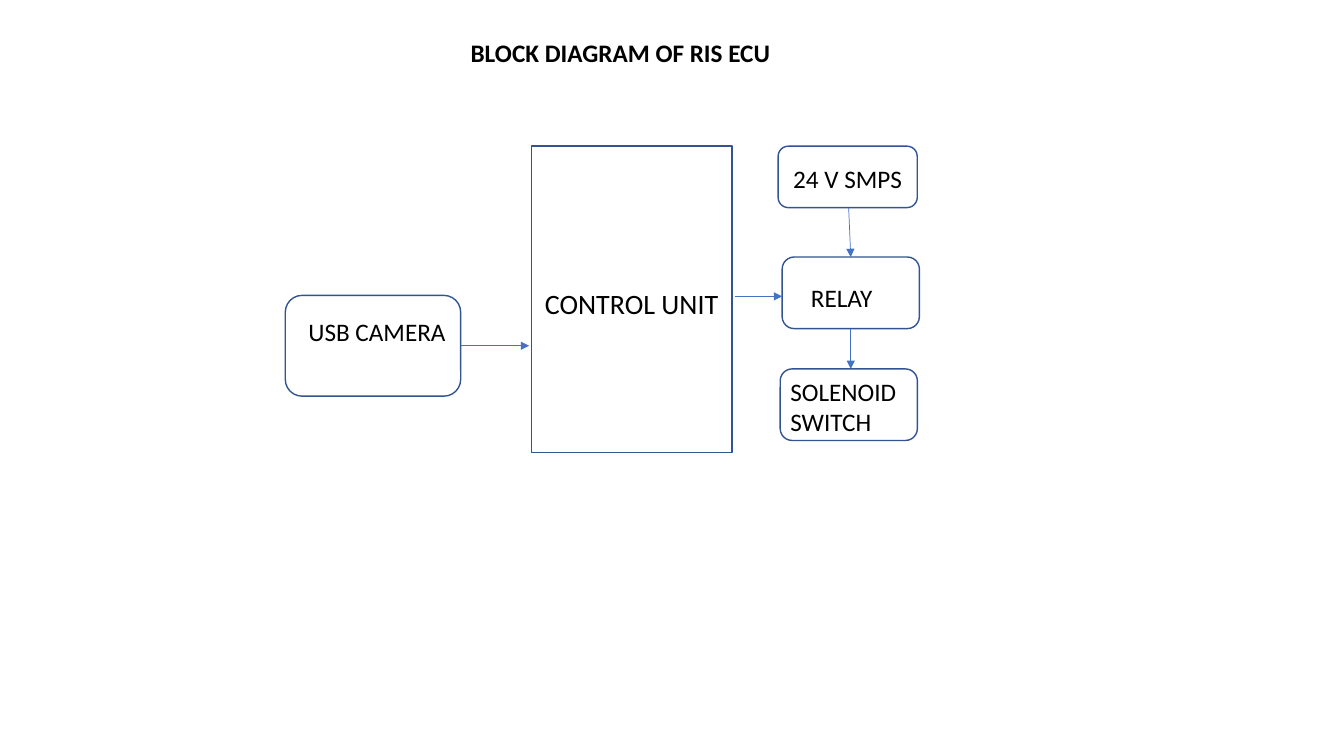
from lxml.etree import SubElement
from pptx import Presentation
from pptx.dml.color import RGBColor
from pptx.enum.shapes import MSO_CONNECTOR, MSO_SHAPE
from pptx.enum.text import MSO_ANCHOR, PP_ALIGN
from pptx.oxml.ns import qn
from pptx.util import Pt


def rgb(code):
    """Turn a hex string into a colour."""
    return RGBColor.from_string(code)


def write(tf, text, size=18, bold=False, align=PP_ALIGN.LEFT, left=0, drop=0):
    """Put formatted text in a frame; drop shifts it down from the middle."""
    tf.word_wrap = True
    tf.vertical_anchor = MSO_ANCHOR.MIDDLE
    tf.margin_left, tf.margin_right = Pt(left), Pt(0)
    tf.margin_top, tf.margin_bottom = Pt(max(2 * drop, 0)), Pt(max(-2 * drop, 0))
    p = tf.paragraphs[0]
    p.alignment = align
    r = p.add_run()
    r.text = text
    r.font.name, r.font.size, r.font.bold = "Calibri", Pt(size), bold
    r.font.color.rgb = rgb("000000")


class Diagram:
    """Block diagram style and the slide it is drawn on."""
    outline = "325491"
    arrow_color = "4472C4"

    def __init__(self, slide):
        """Keep the current slide."""
        self.slide = slide

    def title(self, text, x, y, w, h):
        """Place and format the title placeholder."""
        sp = self.slide.shapes.title
        sp.left, sp.top, sp.width, sp.height = Pt(x), Pt(y), Pt(w), Pt(h)
        write(sp.text_frame, text, bold=True, left=7.2)

    def block(self, text, x, y, w, h, kind=MSO_SHAPE.ROUNDED_RECTANGLE, **fmt):
        """Add an outlined block with its label."""
        sp = self.slide.shapes.add_shape(kind, Pt(x), Pt(y), Pt(w), Pt(h))
        sp.shadow.inherit = False
        sp.fill.background()
        sp.line.color.rgb = rgb(self.outline)
        sp.line.width = Pt(1)
        write(sp.text_frame, text, **fmt)

    def arrow(self, x1, y1, x2, y2):
        """Add a straight arrow to the second point."""
        cx = self.slide.shapes.add_connector(
            MSO_CONNECTOR.STRAIGHT, Pt(x1), Pt(y1), Pt(x2), Pt(y2))
        cx.line.color.rgb = rgb(self.arrow_color)
        cx.line.width = Pt(0.5)
        SubElement(cx.line._get_or_add_ln(), qn("a:tailEnd"), type="triangle")
        SubElement(cx._element.spPr, qn("a:effectLst"))


prs = Presentation()
prs.slide_width, prs.slide_height = Pt(960), Pt(540)
d = Diagram(prs.slides.add_slide(prs.slide_layouts[5]))

d.title("BLOCK DIAGRAM OF RIS ECU", 329, 23, 255, 29)
d.block("CONTROL UNIT", 379.5, 104.4, 143.3, 219, kind=MSO_SHAPE.RECTANGLE,
        size=20, align=PP_ALIGN.CENTER, drop=3)
d.block("USB CAMERA", 203.8, 211, 125.3, 72, left=13, drop=-10)
d.block("24 V SMPS", 555.8, 104.4, 99.4, 43.9, align=PP_ALIGN.CENTER, drop=1)
d.block("RELAY", 558.7, 183.6, 98, 51.1, left=18, drop=3)
d.block("SOLENOID SWITCH", 557.3, 263.5, 98, 51.1, left=4.7, drop=1)

d.arrow(329, 247, 378, 247)
d.arrow(525, 211.7, 558.7, 211.7)
d.arrow(606.2, 148.3, 607.7, 183.6)
d.arrow(607.7, 234.7, 607.7, 263.5)

prs.save("out.pptx")
